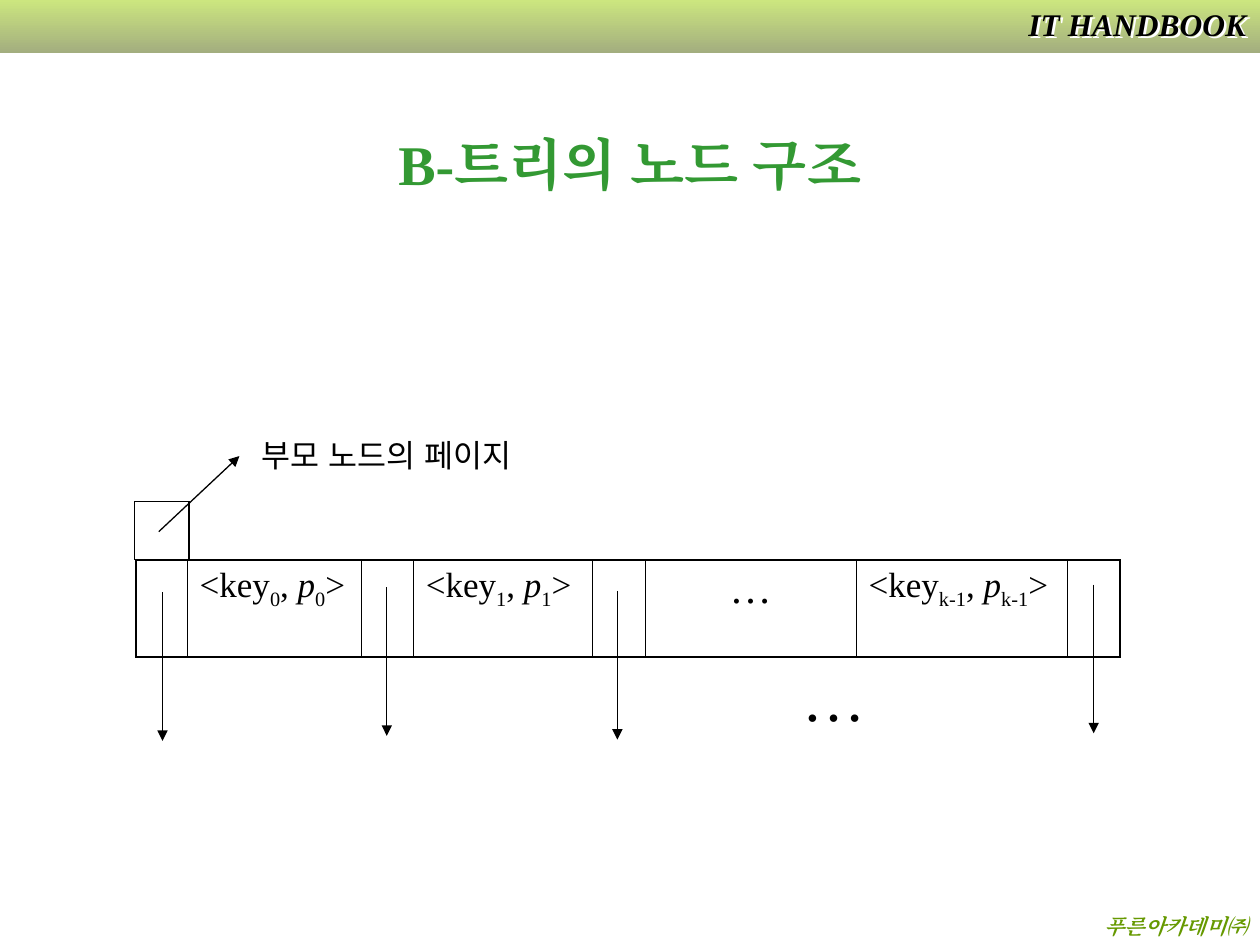
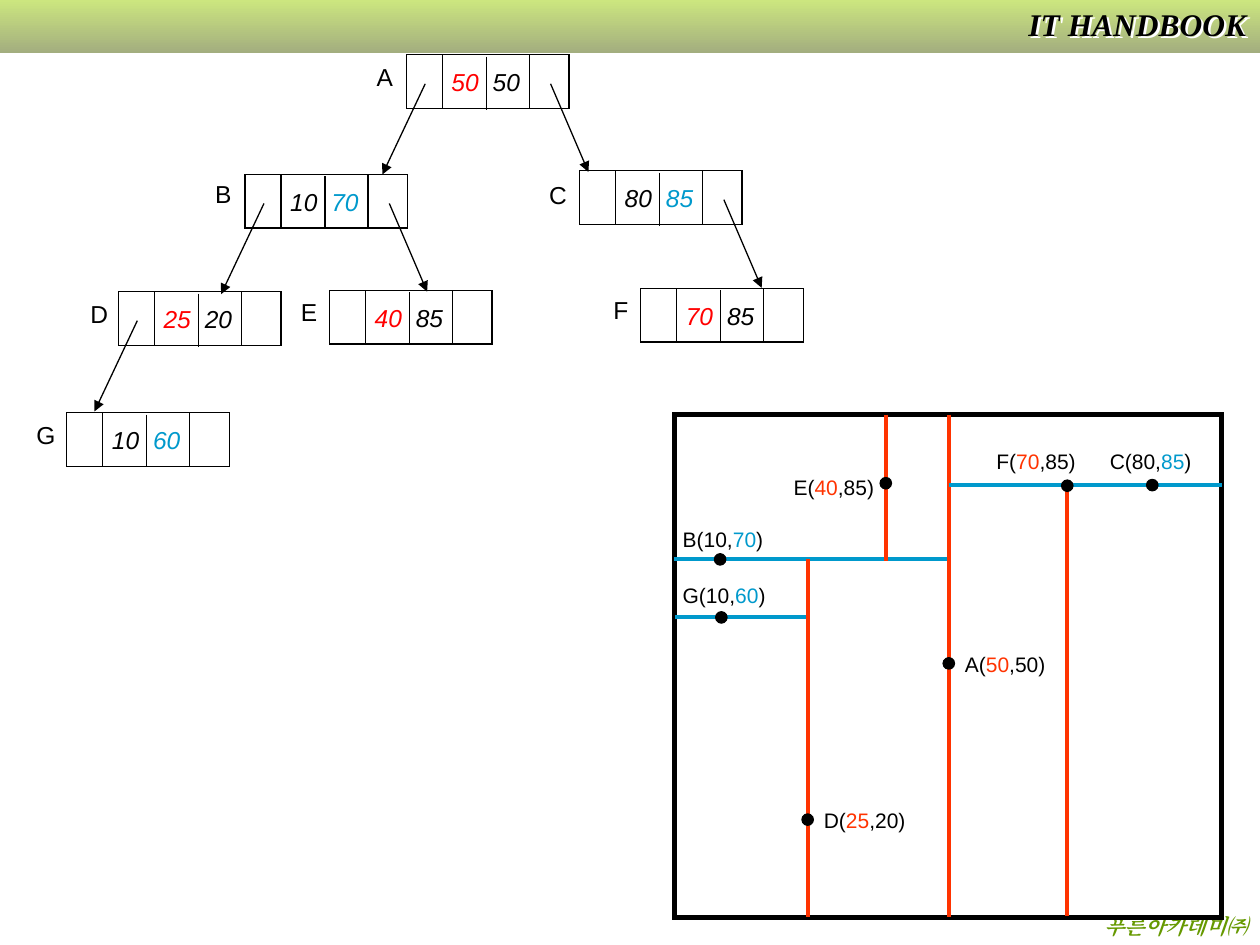
from dataclasses import dataclass, replace

import pptx
import pptx.dml.color
import pptx.enum.shapes
import pptx.enum.text
import pptx.oxml
import pptx.oxml.ns
import pptx.util

RGBColor = pptx.dml.color.RGBColor
Shape = pptx.enum.shapes.MSO_SHAPE
Align = pptx.enum.text.PP_ALIGN
Anchor = pptx.enum.text.MSO_ANCHOR
Pt = pptx.util.Pt
qn = pptx.oxml.ns.qn

BLACK = RGBColor(0x00, 0x00, 0x00)
BAND_TOP = RGBColor(0xCC, 0xE6, 0x7F)
BAND_BOTTOM = RGBColor(0xA3, 0xAE, 0x7F)
FOOTER_GREEN = RGBColor(0x66, 0x99, 0x00)
TITLE_GREEN = RGBColor(0x33, 0x99, 0x33)
KEY_RED = RGBColor(0xFF, 0x00, 0x00)
SPLIT_RED = RGBColor(0xFF, 0x33, 0x00)
SPLIT_BLUE = RGBColor(0x00, 0x99, 0xCC)

SERIF, SANS, KOREAN = "Times New Roman", "Arial", "Noto Sans CJK KR"

# The slide is a grid of 100 columns by 75 rows of square units.
WIDTH, HEIGHT = pptx.util.Inches(10), pptx.util.Inches(7.5)
COLUMNS, ROWS = 100, 75
THIN = 0.75

TEXT_SHADOW = (
    '<a:effectLst xmlns:a="http://schemas.openxmlformats.org/drawingml/2006/main">'
    '<a:outerShdw dist="25400" dir="2700000" algn="ctr" rotWithShape="0">'
    '<a:srgbClr val="FFFFFF"/></a:outerShdw></a:effectLst>')


@dataclass(frozen=True)
class Style:
    size: float
    font: str
    color: RGBColor = BLACK
    bold: bool = False
    italic: bool = False
    baseline: int = 0
    spacing: int = 0
    east: str = SERIF


@dataclass(frozen=True)
class Box:
    left: float
    top: float
    width: float
    height: float

    def emu(self) -> tuple[int, int, int, int]:
        return (col(self.left), row(self.top), col(self.width), row(self.height))


@dataclass(frozen=True)
class KdPoint:
    """A point with its tree node and the line by which it splits the plane."""
    name: str
    x: int
    y: int
    axis: str
    node: tuple[float, float]
    letter: tuple[float, float]
    children: str
    at: float
    start: float
    end: float
    dot: float
    label: tuple[float, float]


Runs = list[tuple[str, Style]]

HEADER = Style(18, SERIF, bold=True, italic=True)
FOOTER = Style(12, SERIF, FOOTER_GREEN, bold=True, italic=True)
TITLE = Style(32, SERIF, TITLE_GREEN, bold=True)
CELL = Style(20, SERIF)
NODE = Style(14, SANS)
POINT = Style(12, SANS)

TABLE = Box(10.8, 44.45, 78.1, 7.7)
TABLE_COLUMNS = (4.05, 13.8, 4.15, 14.2, 4.2, 16.75, 16.75, 4.2)
KEY_CELLS = {1: "0", 3: "1", 6: "k-1"}
ELLIPSIS_CELL = 5
POINTER_TOPS = ((30.7, 46.6), (49, 46.9), (12.9, 47), (86.8, 46.4))
POINTER_LENGTH = 11.8

PLANE = Box(53.55, 32.9, 43.4, 39.9)
DOT = 0.9
NODE_WIDTH, NODE_HEIGHT = 12.9, 4.25
KEYS_INSET, KEYS_WIDTH = 2.85, 6.9
# Start inside the node, and travel, of the arrow to each child.
CHILD_ARROWS = {"L": ((1.5, 2.3), (-3.4, 7.2)), "R": ((11.45, 2.3), (3, 7))}

POINTS = (
    KdPoint("A", 50, 50, "x", (32.25, 4.35), (28.9, 4.4), "LR",
            75.3, 32.9, 72.8, 52.65, (75.6, 51.2)),
    KdPoint("B", 10, 70, "y", (19.45, 13.85), (16.1, 13.75), "LR",
            44.4, 53.5, 75.2, 57.15, (53.2, 41.3)),
    KdPoint("C", 80, 85, "y", (46, 13.55), (42.6, 13.8), "R",
            38.5, 75.3, 97, 91.45, (87.1, 35.1)),
    KdPoint("D", 25, 20, "x", (9.4, 23.15), (6.2, 23.25), "L",
            64.1, 44.4, 72.8, 65.05, (64.4, 63.6)),
    KdPoint("E", 40, 85, "x", (26.15, 23.05), (22.9, 23.1), "",
            70.3, 32.9, 44.5, 38.35, (62, 37.15)),
    KdPoint("F", 70, 85, "x", (50.85, 22.9), (47.7, 22.9), "",
            84.7, 38.55, 72.7, 38.55, (78.1, 35.1)),
    KdPoint("G", 10, 60, "y", (5.3, 32.75), (1.9, 32.85), "",
            49, 53.6, 64, 57.25, (53.2, 45.75)),
)


def col(n: float) -> int:
    return round(WIDTH * n / COLUMNS)


def row(n: float) -> int:
    return round(HEIGHT * n / ROWS)


def add_run(p, text: str, style: Style) -> None:
    r = p.add_run()
    r.text = text
    f = r.font
    f.size, f.name = Pt(style.size), style.font
    f.bold, f.italic = style.bold, style.italic
    f.color.rgb = style.color
    rPr = r._r.get_or_add_rPr()
    if style.baseline:
        rPr.set("baseline", str(style.baseline * 1000))
    if style.spacing:
        rPr.set("spc", str(style.spacing * 100))
    ea = rPr.makeelement(qn("a:ea"), {"typeface": style.east})
    rPr.find(qn("a:latin")).addnext(ea)


def write(tf, runs: Runs, align=Align.LEFT, anchor=Anchor.TOP, wrap: bool = False) -> None:
    tf.word_wrap, tf.vertical_anchor = wrap, anchor
    p = tf.paragraphs[0]
    p.alignment = align
    for text, style in runs:
        add_run(p, text, style)


def add_text(slide, box: Box, runs: Runs, **layout):
    sp = slide.shapes.add_textbox(*box.emu())
    write(sp.text_frame, runs, **layout)
    return sp


def add_box(slide, box: Box, weight: float = THIN, kind=Shape.RECTANGLE, fill=None):
    sp = slide.shapes.add_shape(kind, *box.emu())
    sp.shadow.inherit = False
    if fill is None:
        sp.fill.background()
    else:
        sp.fill.solid()
        sp.fill.fore_color.rgb = fill
    sp.line.color.rgb, sp.line.width = BLACK, Pt(weight)
    ln = sp.line._get_or_add_ln()
    ln.append(ln.makeelement(qn("a:miter"), {"lim": "800000"}))
    return sp


def add_line(slide, x1: float, y1: float, x2: float, y2: float,
             color: RGBColor = BLACK, weight: float = THIN, arrow: bool = False) -> None:
    cx = slide.shapes.add_connector(pptx.enum.shapes.MSO_CONNECTOR.STRAIGHT,
                                    col(x1), row(y1), col(x2), row(y2))
    cx.line.color.rgb, cx.line.width = color, Pt(weight)
    if arrow:
        ln = cx.line._get_or_add_ln()
        ln.append(ln.makeelement(qn("a:tailEnd"), {"type": "triangle"}))
    spPr = cx._element.spPr
    spPr.append(spPr.makeelement(qn("a:effectLst"), {}))


def add_slide(prs):
    """Add a blank slide with the band, header and footer that all slides share."""
    slide = prs.slides.add_slide(prs.slide_layouts[6])
    band = add_box(slide, Box(0, 0, COLUMNS, 4.2))
    band.line.fill.background()
    band.fill.gradient()
    band.fill.gradient_angle = 270
    for stop, color, position in zip(band.fill.gradient_stops, (BAND_TOP, BAND_BOTTOM), (0, 1)):
        stop.color.rgb, stop.position = color, position
    add_text(slide, Box(0.6, 72, 99.4, 3), [("푸른아카데미㈜", FOOTER)],
             align=Align.RIGHT, wrap=True)
    header = add_text(slide, Box(78.8, -0.1, 21.1, 4), [("IT HANDBOOK", HEADER)],
                      align=Align.RIGHT, wrap=True)
    header._element.spPr.append(pptx.oxml.parse_xml(TEXT_SHADOW))
    return slide


def set_borders(cell, **weights: float) -> None:
    tcPr = cell._tc.get_or_add_tcPr()
    for side in "LRTB":
        ln = tcPr.makeelement(qn(f"a:ln{side}"), {"w": str(Pt(weights[side]))})
        fill = ln.makeelement(qn("a:solidFill"), {})
        fill.append(fill.makeelement(qn("a:srgbClr"), {"val": str(BLACK)}))
        ln.append(fill)
        tcPr.append(ln)


def key_runs(index: str) -> Runs:
    sub = replace(CELL, baseline=-25)
    return [("<key", CELL), (index, sub), (", ", CELL),
            ("p", replace(CELL, italic=True)), (index, sub), (">", CELL)]


def add_node_table(slide) -> None:
    table = slide.shapes.add_table(1, len(TABLE_COLUMNS), *TABLE.emu()).table
    table.first_row = table.horz_banding = False
    table.rows[0].height = row(TABLE.height)
    last = len(TABLE_COLUMNS) - 1
    for i, width in enumerate(TABLE_COLUMNS):
        table.columns[i].width = col(width)
        cell = table.cell(0, i)
        set_borders(cell, L=1.08 if i == 0 else 0.45, R=1.08 if i == last else 0.45,
                    T=1.08, B=1.08)
        cell.fill.background()
        if i in KEY_CELLS:
            write(cell.text_frame, key_runs(KEY_CELLS[i]), wrap=True)
        elif i == ELLIPSIS_CELL:
            write(cell.text_frame, [("…", replace(CELL, size=24))],
                  align=Align.CENTER, wrap=True)


def build_btree_slide(prs) -> None:
    slide = add_slide(prs)
    add_node_table(slide)
    for x, top in POINTER_TOPS:
        add_line(slide, x, top, x, top + POINTER_LENGTH, arrow=True)
    add_text(slide, Box(62.7, 51.8, 7, 7), [("…", replace(CELL, size=36))])
    add_box(slide, Box(10.7, 39.8, 4.3, 4.6))
    add_line(slide, 12.6, 42.2, 19, 36.2, arrow=True)
    add_text(slide, Box(19.8, 34.1, 21.8, 4),
             [("부모 노드의 페이지", Style(18, KOREAN, east=SANS))])
    add_text(slide, Box(7.5, 6.7, 85, 12.5), [("B-트리의 노드 구조", TITLE)],
             align=Align.CENTER, anchor=Anchor.MIDDLE, wrap=True)


def add_split(slide, pt: KdPoint) -> None:
    """Draw the splitting line, the dot on it and the coordinates."""
    if pt.axis == "x":
        ends, (cx, cy) = (pt.at, pt.start, pt.at, pt.end), (pt.at, pt.dot)
        color = SPLIT_RED
        before, key, after = f"{pt.name}(", pt.x, f",{pt.y})"
    else:
        ends, (cx, cy) = (pt.start, pt.at, pt.end, pt.at), (pt.dot, pt.at)
        color = SPLIT_BLUE
        before, key, after = f"{pt.name}({pt.x},", pt.y, ")"
    add_line(slide, *ends, color=color, weight=2.25)
    add_box(slide, Box(cx - DOT / 2, cy - DOT / 2, DOT, DOT), kind=Shape.OVAL, fill=BLACK)
    add_text(slide, Box(*pt.label, 9, 3),
             [(before, POINT), (str(key), replace(POINT, color=color)), (after, POINT)])


def add_tree_node(slide, pt: KdPoint) -> None:
    left, top = pt.node
    add_box(slide, Box(left, top, NODE_WIDTH, NODE_HEIGHT))
    keys = add_box(slide, Box(left + KEYS_INSET, top, KEYS_WIDTH, NODE_HEIGHT))
    style = replace(NODE, italic=True)
    x_color, y_color = (KEY_RED, BLACK) if pt.axis == "x" else (BLACK, SPLIT_BLUE)
    write(keys.text_frame, [(str(pt.x), replace(style, color=x_color)),
                            (" ", replace(style, spacing=4)),
                            (str(pt.y), replace(style, color=y_color))],
          align=Align.CENTER, anchor=Anchor.MIDDLE)
    divider = left + NODE_WIDTH / 2 - 0.1
    add_line(slide, divider, top + 0.15, divider, top + NODE_HEIGHT + 0.1)
    add_text(slide, Box(*pt.letter, 3.4, 3.4), [(pt.name, NODE)])
    for side in pt.children:
        (dx, dy), (run, drop) = CHILD_ARROWS[side]
        x, y = left + dx, top + dy
        add_line(slide, x, y, x + run, y + drop, arrow=True)


def build_kd_tree_slide(prs) -> None:
    slide = add_slide(prs)
    add_box(slide, PLANE, weight=3)
    for pt in POINTS:
        add_split(slide, pt)
    for pt in POINTS:
        add_tree_node(slide, pt)


def main() -> None:
    prs = pptx.Presentation()
    prs.slide_width, prs.slide_height = WIDTH, HEIGHT
    build_btree_slide(prs)
    build_kd_tree_slide(prs)
    prs.save("out.pptx")


if __name__ == "__main__":
    main()
